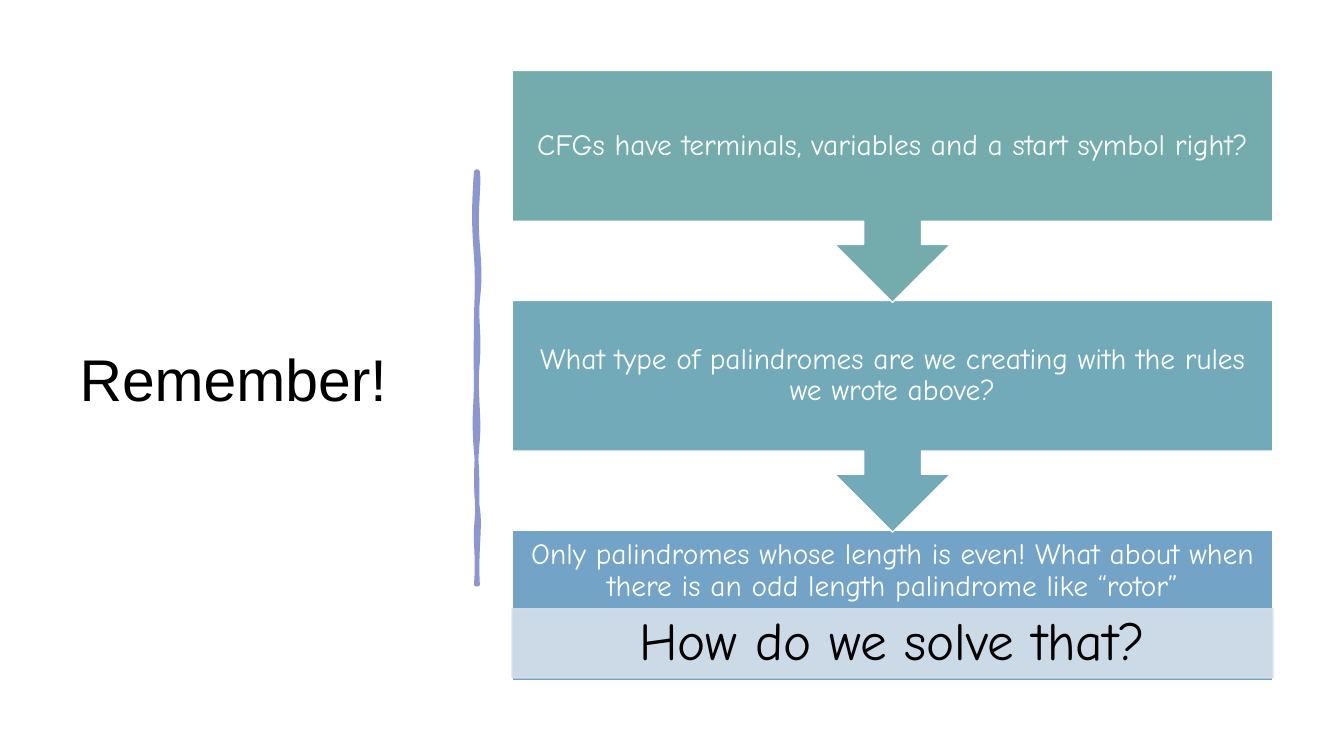
import copy

import lxml.etree
import pptx
import pptx.dml.color
import pptx.enum.shapes
import pptx.enum.text
import pptx.oxml.ns
import pptx.util

SHAPES = pptx.enum.shapes.MSO_SHAPE
ALIGN = pptx.enum.text.PP_ALIGN
SLIDE_WIDTH = pptx.util.Inches(13.33)
SLIDE_HEIGHT = pptx.util.Inches(7.5)

# Flow grid, in percent of the slide's width and height
FLOW_LEFT, FLOW_WIDTH = 38.11, 56.6
FLOW_TOP, STEP_PITCH = 9.33, 30.4
CALLOUT_HEIGHT, BODY_HEIGHT = 30.67, 19.87

# Each step: text, colour, height of its text area
STEPS = [
    ("CFGs have terminals, variables and a start symbol right?", "74ACAD", BODY_HEIGHT),
    ("What type of palindromes are we creating with the rules we wrote above?",
     "73AABA", BODY_HEIGHT),
    ("Only palindromes whose length is even! What about when there is an odd "
     "length palindrome like \u201crotor\u201d", "73A3C6", 10.8),
]

# Brush stroke edges in inches: two control points and an end point per curve
STROKE_START = (4.72, 1.7)
STROKE_OUTLINE = [
    (4.73, 1.7, 4.73, 1.7, 4.74, 1.7), (4.76, 1.86, 4.71, 2.07, 4.74, 2.43),
    (4.77, 2.79, 4.75, 2.85, 4.74, 2.99), (4.72, 3.13, 4.76, 3.31, 4.74, 3.59),
    (4.71, 3.87, 4.76, 4.13, 4.74, 4.36), (4.72, 4.58, 4.71, 4.85, 4.74, 5.04),
    (4.77, 5.23, 4.72, 5.48, 4.74, 5.8), (4.73, 5.8, 4.73, 5.8, 4.72, 5.8),
    (4.74, 5.54, 4.71, 5.36, 4.72, 5.24), (4.73, 5.13, 4.75, 4.83, 4.72, 4.48),
    (4.69, 4.13, 4.72, 4.06, 4.72, 3.75), (4.71, 3.45, 4.72, 3.41, 4.72, 3.19),
    (4.72, 2.98, 4.74, 2.85, 4.72, 2.55), (4.7, 2.26, 4.69, 2.12, 4.72, 1.7),
]
STROKE_BODY = [
    (4.72, 1.7, 4.73, 1.7, 4.74, 1.7), (4.76, 1.95, 4.75, 2.01, 4.74, 2.26),
    (4.73, 2.52, 4.78, 2.8, 4.74, 3.03), (4.7, 3.26, 4.76, 3.44, 4.74, 3.71),
    (4.72, 3.99, 4.74, 4.17, 4.74, 4.31), (4.74, 4.46, 4.73, 4.63, 4.74, 4.92),
    (4.75, 5.2, 4.73, 5.44, 4.74, 5.8), (4.73, 5.8, 4.72, 5.8, 4.72, 5.8),
    (4.71, 5.68, 4.71, 5.36, 4.72, 5.24), (4.72, 5.13, 4.69, 4.78, 4.72, 4.6),
    (4.75, 4.42, 4.73, 4.23, 4.72, 3.96), (4.71, 3.69, 4.7, 3.43, 4.72, 3.23),
    (4.73, 3.04, 4.69, 2.81, 4.72, 2.59), (4.75, 2.37, 4.74, 2.11, 4.72, 1.7),
]


def color(hex_code):
    return pptx.dml.color.RGBColor.from_string(hex_code)


def area(left, top, width, height):
    """Turn percentages of the slide into lengths."""
    return (round(SLIDE_WIDTH * left / 100), round(SLIDE_HEIGHT * top / 100),
            round(SLIDE_WIDTH * width / 100), round(SLIDE_HEIGHT * height / 100))


def set_opacity(fill_format, percent):
    for rgb in fill_format._xPr.iter(pptx.oxml.ns.qn("a:srgbClr")):
        alpha = lxml.etree.SubElement(rgb, pptx.oxml.ns.qn("a:alpha"))
        alpha.set("val", str(percent * 1000))


def paint(shape, fill=None, line=None, line_width=1, opacity=100):
    shape.shadow.inherit = False
    for paint_format, hex_code in ((shape.fill, fill), (shape.line.fill, line)):
        if hex_code is None:
            paint_format.background()
            continue
        paint_format.solid()
        paint_format.fore_color.rgb = color(hex_code)
        if opacity < 100:
            set_opacity(paint_format, opacity)
    if line:
        shape.line.width = pptx.util.Pt(line_width)


def add_block(slide, preset, bounds, rotation=0, **style):
    block = slide.shapes.add_shape(preset, *area(*bounds))
    block.rotation = rotation
    paint(block, **style)


def add_text(slide, text, bounds, size, font="Comic Neue", hex_code="000000",
             align=ALIGN.CENTER, spacing=0.9, side=0.16, edge=0.16):
    frame = slide.shapes.add_textbox(*area(*bounds)).text_frame
    frame.word_wrap = True
    frame.vertical_anchor = pptx.enum.text.MSO_ANCHOR.MIDDLE
    frame.margin_left = frame.margin_right = pptx.util.Inches(side)
    frame.margin_top = frame.margin_bottom = pptx.util.Inches(edge)
    paragraph = frame.paragraphs[0]
    paragraph.alignment = align
    paragraph.line_spacing = spacing
    run = paragraph.add_run()
    run.text = text
    run.font.name = font
    run.font.size = pptx.util.Pt(size)
    run.font.color.rgb = color(hex_code)


def bend(outline, curves):
    """Turn each straight segment of an outline into its cubic curve."""
    segments = outline.findall(pptx.oxml.ns.qn("a:lnTo"))
    for segment, curve in zip(segments, curves):
        cubic = lxml.etree.Element(pptx.oxml.ns.qn("a:cubicBezTo"))
        for x, y in zip(curve[::2], curve[1::2]):
            point = lxml.etree.SubElement(cubic, pptx.oxml.ns.qn("a:pt"))
            point.set("x", str(round(pptx.util.Inches(x - STROKE_START[0]))))
            point.set("y", str(round(pptx.util.Inches(y - STROKE_START[1]))))
        outline.replace(segment, cubic)


def add_divider(slide, hex_code):
    """Draw the brush stroke: a stroked outline and a filled body."""
    inches = pptx.util.Inches
    builder = slide.shapes.build_freeform(*map(inches, STROKE_START))
    builder.add_line_segments(
        [(inches(x), inches(y)) for *_, x, y in STROKE_OUTLINE], close=True)
    divider = builder.convert_to_shape()
    outline = next(divider._element.iter(pptx.oxml.ns.qn("a:path")))
    body = copy.deepcopy(outline)
    outline.addnext(body)
    outline.set("fill", "none")
    body.set("stroke", "0")
    bend(outline, STROKE_OUTLINE)
    bend(body, STROKE_BODY)
    paint(divider, fill=hex_code, line=hex_code, line_width=2.75)


def add_step(slide, index):
    text, fill, text_height = STEPS[index]
    top = FLOW_TOP + index * STEP_PITCH
    if index == len(STEPS) - 1:
        preset, height, rotation = SHAPES.RECTANGLE, 19.9, 0
    else:
        preset, height, rotation = SHAPES.UP_ARROW_CALLOUT, CALLOUT_HEIGHT, 180
    add_block(slide, preset, (FLOW_LEFT, top, FLOW_WIDTH, height), rotation,
              fill=fill, line="FFFFFF")
    add_text(slide, text, (FLOW_LEFT, top, FLOW_WIDTH, text_height), 21,
             hex_code="FFFFFF")


def add_question(slide):
    strip = (FLOW_LEFT, 80.53, FLOW_WIDTH, 9.15)
    add_block(slide, SHAPES.RECTANGLE, strip, fill="D5E0EA", line="D5E0EA",
              opacity=90)
    add_text(slide, "How do we solve that?", strip, 38, side=0.3, edge=0.05)


def main():
    deck = pptx.Presentation()
    deck.slide_width, deck.slide_height = SLIDE_WIDTH, SLIDE_HEIGHT
    slide = deck.slides.add_slide(deck.slide_layouts[6])

    # Backdrop, title and hand-drawn divider
    add_block(slide, SHAPES.RECTANGLE, (0, 0, 100, 100), fill="FFFFFF")
    add_text(slide, "Remember!", (5.18, 9.33, 28.06, 81.47), 42, font="Arial",
             align=ALIGN.LEFT, spacing=1, side=0.1, edge=0.05)
    add_divider(slide, "8C97D0")

    # Last step with its question first, so each arrow lies over the next box
    last = len(STEPS) - 1
    add_step(slide, last)
    add_question(slide)
    for index in reversed(range(last)):
        add_step(slide, index)

    deck.save("out.pptx")


main()
